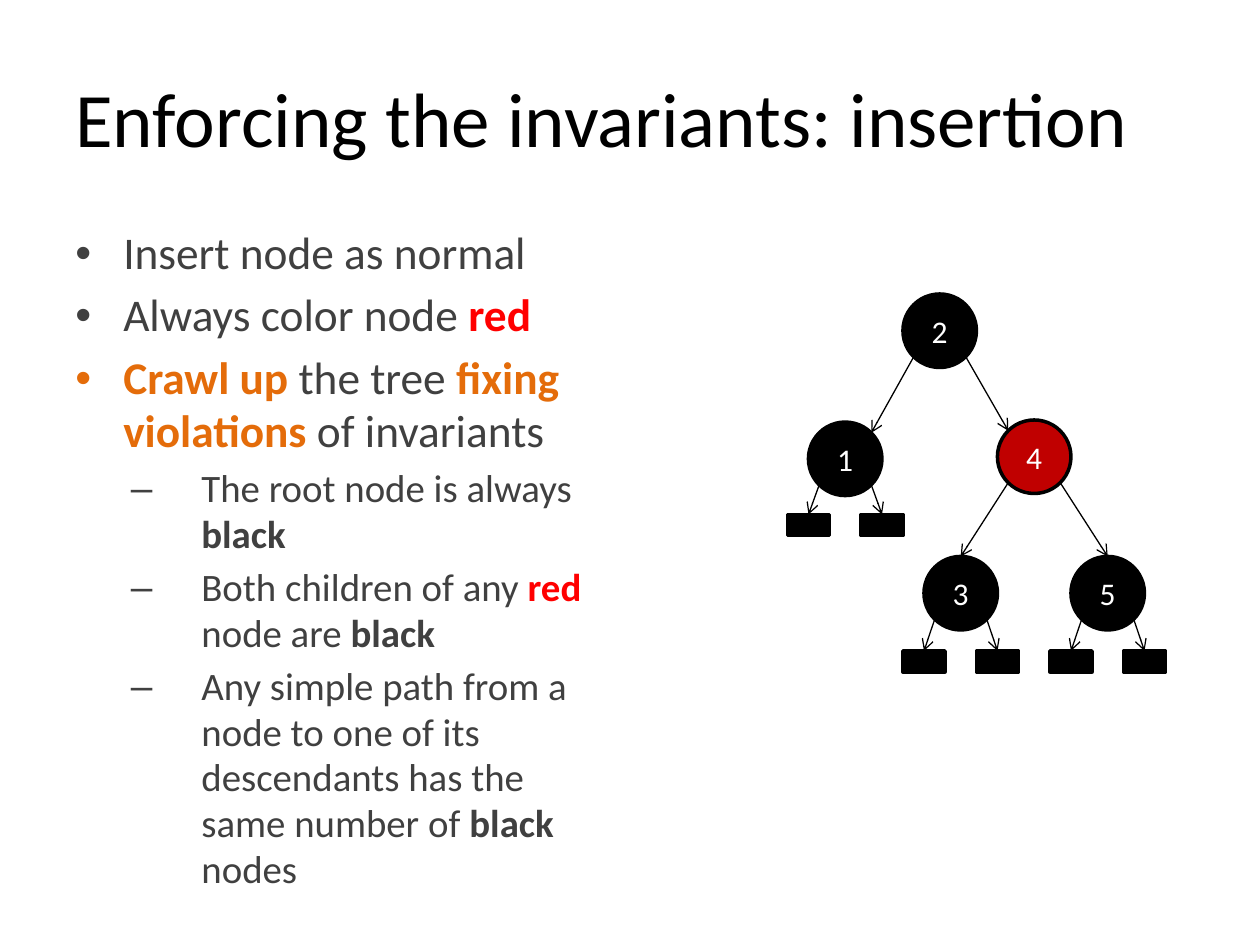
from dataclasses import dataclass
from math import sqrt

from lxml import etree
from pptx import Presentation
from pptx.dml.color import RGBColor
from pptx.enum.shapes import MSO_CONNECTOR, MSO_SHAPE
from pptx.enum.text import MSO_ANCHOR, PP_ALIGN
from pptx.oxml.ns import qn
from pptx.util import Inches, Pt

OVAL, RECTANGLE = MSO_SHAPE.OVAL, MSO_SHAPE.RECTANGLE
STRAIGHT = MSO_CONNECTOR.STRAIGHT
MIDDLE, CENTER = MSO_ANCHOR.MIDDLE, PP_ALIGN.CENTER
TOP_SITE = 0


@dataclass(frozen=True)
class Theme:
    font: str = "Calibri"
    black: str = "000000"
    white: str = "FFFFFF"
    body: str = "404040"
    red: str = "FF0000"
    orange: str = "E46C0A"
    node_red: str = "C00000"
    title_size: float = 44
    level_sizes: tuple = (25.9, 22.2)
    key_size: float = 18
    outline: float = 2
    edge: float = 0.75


THEME = Theme()
PLAIN = (THEME.body, False)
BOLD = (THEME.body, True)
RED = (THEME.red, True)
ORANGE = (THEME.orange, True)

TITLE = "Enforcing the invariants: insertion"
STEPS = [
    (0, [("Insert node as normal", PLAIN)]),
    (0, [("Always color node ", PLAIN), ("red", RED)]),
    (0, [("Crawl up ", ORANGE), ("the tree ", PLAIN),
         ("fixing violations ", ORANGE), ("of invariants", PLAIN)]),
    (1, [("The root node is always ", PLAIN), ("black", BOLD)]),
    (1, [("Both children of any ", PLAIN), ("red ", RED),
         ("node are ", PLAIN), ("black", BOLD)]),
    (1, [("Any simple path from a node to one of its descendants has the "
          "same number of ", PLAIN), ("black", BOLD), (" nodes", PLAIN)]),
]
LEVELS = [("•", 0.38, -0.38), ("–", 1, -0.56)]

NODES = {
    "2": (86, 28, THEME.black),
    "1": (77, 40.2, THEME.black),
    "4": (95, 40, THEME.node_red),
    "3": (88, 53, THEME.black),
    "5": (102, 53, THEME.black),
}
CHILDREN = {"2": ("1", "4"), "4": ("3", "5")}
LEAF_PARENTS = ("1", "3", "5")

UNIT = Inches(1) // 12
NODE_SIZE = 7
LEAF_WIDTH, LEAF_HEIGHT = 4, 2
LEAF_DROP = 9
LEAF_SHIFTS = (-2, 5)
SIDES = (-1, 1)


def style_run(run, size, color, bold=False):
    run.font.name = THEME.font
    run.font.size = Pt(size)
    run.font.bold = bold
    run.font.color.rgb = RGBColor.from_string(color)


def add_text_area(slide, left, top, width, height):
    frame = slide.shapes.add_textbox(*map(Inches, (left, top, width, height))).text_frame
    frame.word_wrap = True
    return frame


def add_title(slide):
    frame = add_text_area(slide, 0.5, 0.3, 9, 1.25)
    frame.vertical_anchor = MIDDLE
    frame.text = TITLE
    style_run(frame.paragraphs[0].runs[0], THEME.title_size, THEME.black)


def add_steps(slide):
    frame = add_text_area(slide, 0.5, 1.75, 4.42, 5.5)
    frame.text = "\n".join("".join(words for words, _ in parts) for _, parts in STEPS)
    for step, (level, parts) in zip(frame.paragraphs, STEPS):
        bullet, margin, indent = LEVELS[level]
        size = THEME.level_sizes[level]
        step.clear()
        step.level = level
        step.line_spacing = 0.98
        step.space_before = Pt(round(size * 0.2, 1))
        properties = step._p.get_or_add_pPr()
        properties.set("marL", str(Inches(margin)))
        properties.set("indent", str(Inches(indent)))
        etree.SubElement(properties, qn("a:buFont")).set("typeface", "Arial")
        etree.SubElement(properties, qn("a:buChar")).set("char", bullet)
        for words, (color, bold) in parts:
            run = step.add_run()
            run.text = words
            style_run(run, size, color, bold)


def add_block(slide, kind, column, row, width, height, fill):
    block = slide.shapes.add_shape(
        kind, *(round(share * UNIT) for share in (column, row, width, height)))
    block.shadow.inherit = False
    block.fill.solid()
    block.fill.fore_color.rgb = RGBColor.from_string(fill)
    block.line.color.rgb = RGBColor.from_string(THEME.black)
    block.line.width = Pt(THEME.outline)
    return block


def add_node(slide, key, column, row, fill):
    node = add_block(slide, OVAL, column, row, NODE_SIZE, NODE_SIZE, fill)
    frame = node.text_frame
    frame.margin_left = frame.margin_right = 0
    frame.margin_top = frame.margin_bottom = 0
    frame.vertical_anchor = MIDDLE
    frame.text = key
    frame.paragraphs[0].alignment = CENTER
    style_run(frame.paragraphs[0].runs[0], THEME.key_size, THEME.white)
    return node


def diagonal_point(node, side, vertical):
    reach = node.width / 2 / sqrt(2)
    return (round(node.left + node.width / 2 + side * reach),
            round(node.top + node.height / 2 + vertical * reach))


def add_edge(slide, parent, child, side, slanted=False):
    start = diagonal_point(parent, side, 1)
    end = diagonal_point(child, -side, -1)
    edge = slide.shapes.add_connector(STRAIGHT, *start, *end)
    if not slanted:
        edge.end_connect(child, TOP_SITE)
    edge.line.color.rgb = RGBColor.from_string(THEME.black)
    edge.line.width = Pt(THEME.edge)
    etree.SubElement(edge.line._get_or_add_ln(), qn("a:tailEnd")).set("type", "arrow")
    etree.SubElement(edge._element.spPr, qn("a:effectLst"))


def add_tree(slide):
    nodes = {key: add_node(slide, key, *place) for key, place in NODES.items()}
    leaves = []
    for key in LEAF_PARENTS:
        column, row, _ = NODES[key]
        for side, shift in zip(SIDES, LEAF_SHIFTS):
            leaf = add_block(slide, RECTANGLE, column + shift, int(row) + LEAF_DROP,
                             LEAF_WIDTH, LEAF_HEIGHT, THEME.black)
            leaves.append((nodes[key], leaf, side))
    for parent, children in CHILDREN.items():
        for side, child in zip(SIDES, children):
            add_edge(slide, nodes[parent], nodes[child], side, slanted=parent == "2")
    for parent, leaf, side in leaves:
        add_edge(slide, parent, leaf, side)


def main():
    deck = Presentation()
    deck.slide_width, deck.slide_height = Inches(10), Inches(7.5)
    slide = deck.slides.add_slide(deck.slide_layouts[6])
    add_title(slide)
    add_steps(slide)
    add_tree(slide)
    deck.save("out.pptx")


if __name__ == "__main__":
    main()
